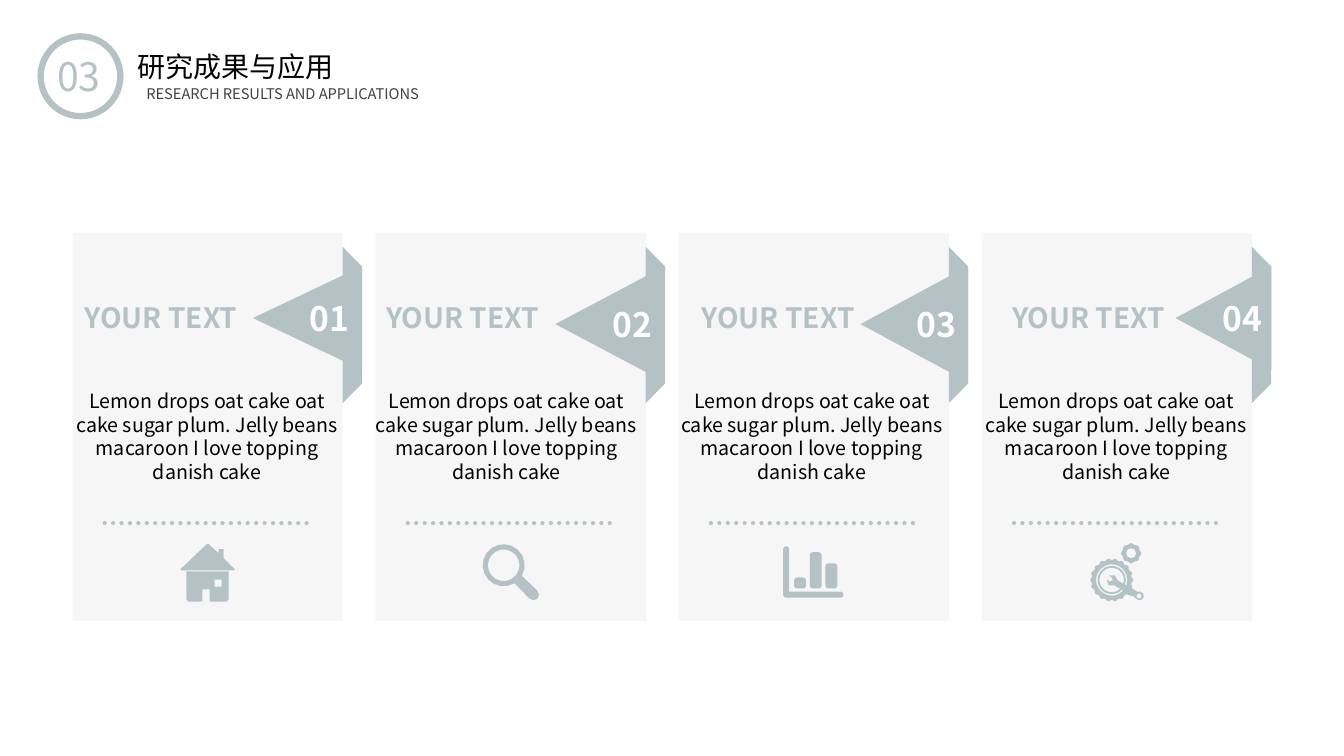
"""Build the research results slide with four numbered cards."""
import math

import pptx
import pptx.dml.color
import pptx.enum.dml
import pptx.enum.shapes
import pptx.enum.text
import pptx.oxml
import pptx.oxml.ns
import pptx.util

Pt = pptx.util.Pt
RGB = pptx.dml.color.RGBColor.from_string
SHAPE = pptx.enum.shapes.MSO_SHAPE
ALIGN = pptx.enum.text.PP_ALIGN
qn = pptx.oxml.ns.qn
nsdecls = pptx.oxml.ns.nsdecls

FONT = "Noto Sans CJK SC"
COLORS = {"accent": "B4C2C5", "panel": "F2F2F2", "black": "000000",
          "gray": "404040", "white": "FFFFFF"}


def write(sp, text, size, color, bold=False, align=ALIGN.LEFT, wrap=True, margins=None):
    """Put one styled run into a shape."""
    tf = sp.text_frame
    tf.word_wrap = wrap
    if margins:
        tf.margin_left, tf.margin_top, tf.margin_right, tf.margin_bottom = map(Pt, margins)
    p = tf.paragraphs[0]
    p.alignment = align
    r = p.add_run()
    r.text = text
    r.font.size, r.font.bold, r.font.name = Pt(size), bold, FONT
    r.font.color.rgb = RGB(COLORS[color])
    r.font._element.append(pptx.oxml.parse_xml(
        f'<a:ea {nsdecls("a")} typeface="{FONT}"/>'))


def arc(cx, cy, radius, start=0, end=360, teeth=0, depth=0):
    """Return points along an arc in degrees, with optional gear teeth."""
    step = 90 / teeth if teeth else 20 if radius > 5 else 45
    steps = round(abs(end - start) / step)
    angles = [math.radians(start + (end - start) * i / steps) for i in range(steps + 1)]
    return [(cx + (radius + depth * math.cos(teeth * a)) * math.cos(a),
             cy + (radius + depth * math.cos(teeth * a)) * math.sin(a)) for a in angles]


house = [
    [(0, 18.7), (19, 0.6), (20.2, 0.6), (27.4, 7.2), (27.4, 4.3), (31, 4.3),
     (31, 10.8), (39, 18.7), (38.2, 19.4), (0.7, 19.4)],
    [(4.3, 20.2), (34.6, 20.2), (34.6, 40), (33, 41.8), (20.9, 41.8), (20.9, 33),
     (15.8, 33), (15.8, 41.8), (5.8, 41.8), (4.3, 40)],
    [(24.5, 26), (29.5, 26), (29.5, 31), (24.5, 31)],
]
magnifier = [
    arc(15, 15, 15, 59, 390) + arc(36.3, 36, 4, -45, 135),
    arc(15, 15, 11.3),
]
bar_chart = [
    arc(2.2, 2.2, 2.2, 180, 360) + [(4.4, 32.4)]
    + arc(41, 34.6, 2.2, -90, 90) + arc(2.2, 34.6, 2.2, 90, 180),
]
for i, top in enumerate((22.3, 4.3, 12.2)):
    x = 7.9 + 11.2 * i
    bar_chart.append(arc(x + 2, top + 2, 2, 180, 270) + arc(x + 6.4, top + 2, 2, 270, 360)
                     + arc(x + 6.4, 28.2, 2, 0, 90) + arc(x + 2, 28.2, 2, 90, 180))
gears = [
    arc(15.8, 26.3, 14.8, 43, 382, 18, 0.7) + [(33.8, 34.6)]
    + arc(35.6, 37.6, 3.2, -120, 150) + [(31.7, 38.2)],
    arc(15.8, 26.3, 11.2, 44, 380) + arc(15.8, 26.3, 10.1, 380, 44),
    arc(15.8, 26.3, 8.8, 47, 378)
    + [(20.2, 26.6), (18, 23), (13.7, 23), (15.8, 24.5), (16.6, 26.6),
       (14.4, 27.4), (12.2, 25.9), (13.7, 30.2), (18, 30.2)],
    arc(35.3, 37.8, 1.8),
    arc(29.7, 7.2, 6.8, teeth=8, depth=0.5),
    arc(29.7, 7.2, 3.6),
]

prs = pptx.Presentation()
prs.slide_width, prs.slide_height = Pt(960), Pt(540)
s = prs.slides.add_slide(prs.slide_layouts[6])

ring = s.shapes.add_shape(SHAPE.OVAL, Pt(29), Pt(26), Pt(57), Pt(57))
ring.shadow.inherit = False
ring.fill.background()
ring.line.color.rgb = RGB(COLORS["accent"])
ring.line.width = Pt(4.5)

for text, x, y, w, h, size, color, align, wrap in (
    ("03", 33.8, 34, 47.5, 41, 28, "accent", ALIGN.LEFT, False),
    ("研究成果与应用", 91, 31.5, 276, 31.5, 20, "black", ALIGN.LEFT, True),
    ("RESEARCH RESULTS AND APPLICATIONS", 90.7, 57, 222.5, 20, 10.5, "gray",
     ALIGN.CENTER, False),
):
    sp = s.shapes.add_textbox(Pt(x), Pt(y), Pt(w), Pt(h))
    write(sp, text, size, color, align=align, wrap=wrap)

cards = [
    (house, 77, 388, 74, 78, 227.2, 1.5, 2.2),
    (magnifier, 76.5, 388.8, 83, 78.5, 231.5, 0.4, -0.5),
    (bar_chart, 74.6, 390.2, 83, 77, 231.5, 9.3, 1.2),
    (gears, 77, 388, 74, 68.5, 227.2, 14.6, 2.1),
]
for i, (icon, icon_x, icon_y, base, reach, mid, title_x, body_x) in enumerate(cards):
    left = 51.8 + 216.5 * i

    panel = s.shapes.add_shape(SHAPE.RECTANGLE, Pt(left), Pt(166.3), Pt(193), Pt(277.2))
    fold = s.shapes.add_shape(SHAPE.TRAPEZOID, Pt(left + 144), Pt(225.3), Pt(111.6), Pt(13.7))
    fold.rotation = 90
    fold.adjustments[0] = 1.015
    arrow = s.shapes.add_shape(SHAPE.ISOSCELES_TRIANGLE,
                               Pt(left + 206.8 - (reach + base) / 2),
                               Pt(mid - reach / 2), Pt(base), Pt(reach))
    arrow.rotation = 270
    arrow.element.txBody.bodyPr.set("vert", "vert")
    arrow.text_frame.vertical_anchor = pptx.enum.text.MSO_ANCHOR.MIDDLE
    write(arrow, f"{i + 1:02}", 24, "white", True, ALIGN.CENTER, False,
          (7.2, 3.6, 7.2, 14.4))

    dots = s.shapes.add_connector(pptx.enum.shapes.MSO_CONNECTOR.STRAIGHT,
                                  Pt(left + 23), Pt(373.7), Pt(left + 169), Pt(373.7))
    dots.line.color.rgb = RGB(COLORS["accent"])
    dots.line.width = Pt(3)
    dots.line.dash_style = pptx.enum.dml.MSO_LINE.ROUND_DOT
    spPr = dots.element.spPr
    spPr.find(qn("a:ln")).set("cap", "rnd")
    spPr.append(pptx.oxml.parse_xml(f'<a:effectLst {nsdecls("a")}/>'))

    outlines = [[(Pt(x), Pt(y)) for x, y in outline] for outline in icon]
    builder = s.shapes.build_freeform(*outlines[0][0])
    builder.add_line_segments(outlines[0][1:])
    for outline in outlines[1:]:
        builder.move_to(*outline[0])
        builder.add_line_segments(outline[1:])
    symbol = builder.convert_to_shape(Pt(left + icon_x), Pt(icon_y))

    for sp, color in ((panel, "panel"), (fold, "accent"), (arrow, "accent"),
                      (symbol, "accent")):
        sp.shadow.inherit = False
        sp.fill.solid()
        sp.fill.fore_color.rgb = RGB(COLORS[color])
        sp.line.fill.background()
    panel.element.spPr.find(f'{qn("a:solidFill")}/{qn("a:srgbClr")}').append(
        pptx.oxml.parse_xml(f'<a:alpha {nsdecls("a")} val="64000"/>'))

    body = s.shapes.add_textbox(Pt(left + body_x), Pt(278), Pt(188), Pt(73.5))
    write(body, "Lemon drops oat cake oat cake sugar plum. Jelly beans macaroon "
          "I love topping danish cake", 14, "black", align=ALIGN.CENTER,
          margins=(0, 0, 0, 0))
    title = s.shapes.add_textbox(Pt(left + title_x), Pt(211.3), Pt(140), Pt(31.5))
    write(title, "YOUR TEXT", 20, "accent", True)

prs.save("out.pptx")
